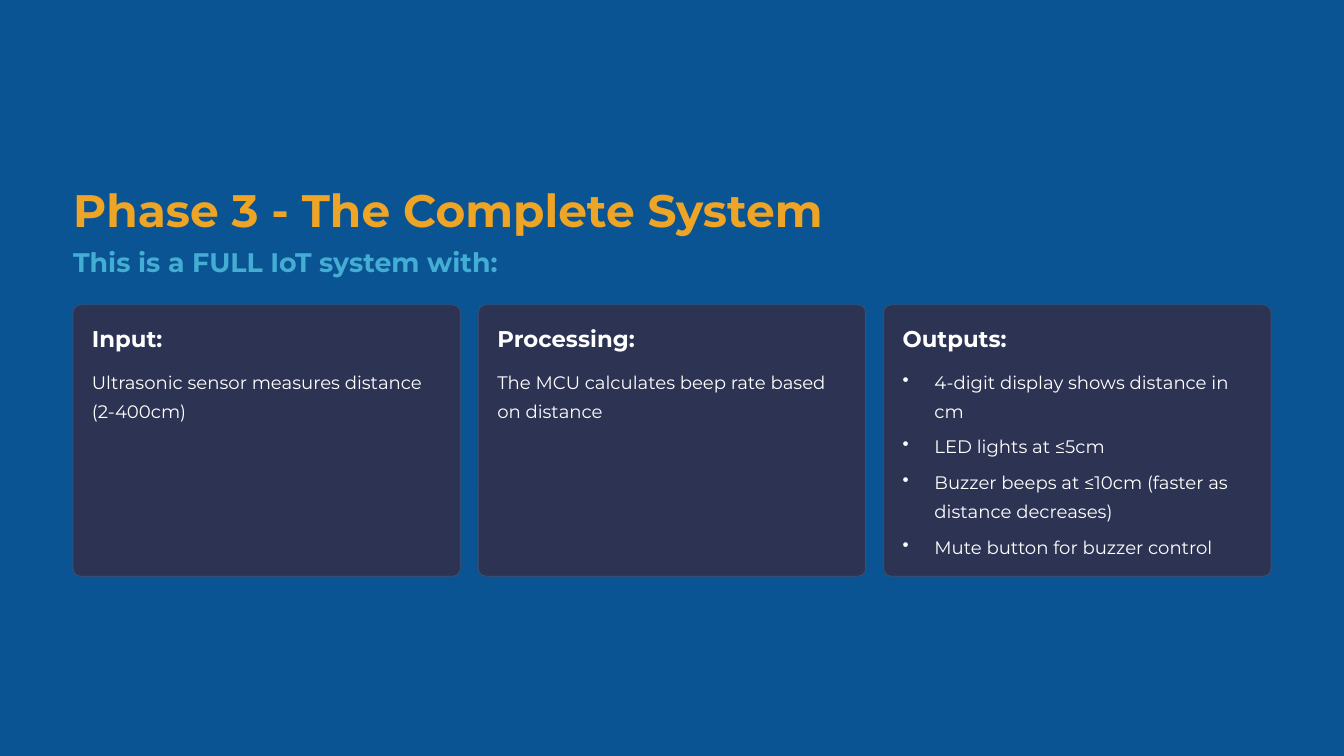
import pptx
import pptx.util
import pptx.dml.color
import pptx.enum.shapes
import pptx.oxml

Inches, Pt = pptx.util.Inches, pptx.util.Pt


def paint(color, code):
    color.rgb = pptx.dml.color.RGBColor.from_string(code)


def write(box, lines, size, lead, code, bold=False, dots=False):
    left, top, width, height = [Inches(v) for v in box]
    frame = slide.shapes.add_textbox(left, top, width, height).text_frame
    frame.word_wrap = True
    frame.margin_left = frame.margin_right = 0
    frame.margin_top = frame.margin_bottom = 0
    for i, line in enumerate(lines):
        para = frame.add_paragraph() if i else frame.paragraphs[0]
        para.text = line
        para.line_spacing = Pt(lead)
        if i:
            para.space_before = Pt(5.4)
        if dots:
            props = para._p.get_or_add_pPr()
            props.set("marL", str(Inches(0.38)))
            props.set("indent", str(-Inches(0.38)))
            mark = pptx.oxml.ns.qn("a:buChar")
            props.append(props.makeelement(mark, {"char": "•"}))
        para.font.name = "Montserrat"
        para.font.size = Pt(size)
        para.font.bold = bold
        paint(para.font.color, code)


deck = pptx.Presentation()
deck.slide_width, deck.slide_height = Inches(16), Inches(9)
slide = deck.slides.add_slide(deck.slide_layouts[6])

# Background
fill = slide.background.fill
fill.solid()
paint(fill.fore_color, "0B5494")

# Headings
write((0.87, 2.14, 9.1, 0.68), ["Phase 3 - The Complete System"],
      39, 48.5, "EEA526", bold=True)
write((0.87, 2.9, 5.15, 0.41), ["This is a FULL IoT system with:"],
      23, 29, "44ADD3", bold=True)

# Cards: title, text lines, text height
cards = [
    ("Input:", ["Ultrasonic sensor measures distance (2-400cm)"], 0.69),
    ("Processing:", ["The MCU calculates beep rate based on distance"], 0.69),
    ("Outputs:", ["4-digit display shows distance in cm",
                  "LED lights at ≤5cm",
                  "Buzzer beeps at ≤10cm (faster as distance decreases)",
                  "Mute button for buzzer control"], 2.31),
]
for i, (title, lines, height) in enumerate(cards):
    left = 0.87 + i * 4.825
    card = slide.shapes.add_shape(
        pptx.enum.shapes.MSO_SHAPE.ROUNDED_RECTANGLE,
        Inches(left), Inches(3.63), Inches(4.61), Inches(3.23))
    card.adjustments[0] = 0.028
    card.shadow.inherit = False
    card.fill.solid()
    paint(card.fill.fore_color, "2D3353")
    paint(card.line.color, "464C6C")
    card.line.width = Pt(0.6)
    inner = left + 0.225
    write((inner, 3.86, 2.71, 0.34), [title], 19.5, 24, "FFFFFF", bold=True)
    write((inner, 4.33, 4.16, height), lines, 15.5, 25, "FFFFFF",
          dots=len(lines) > 1)

deck.save("out.pptx")
